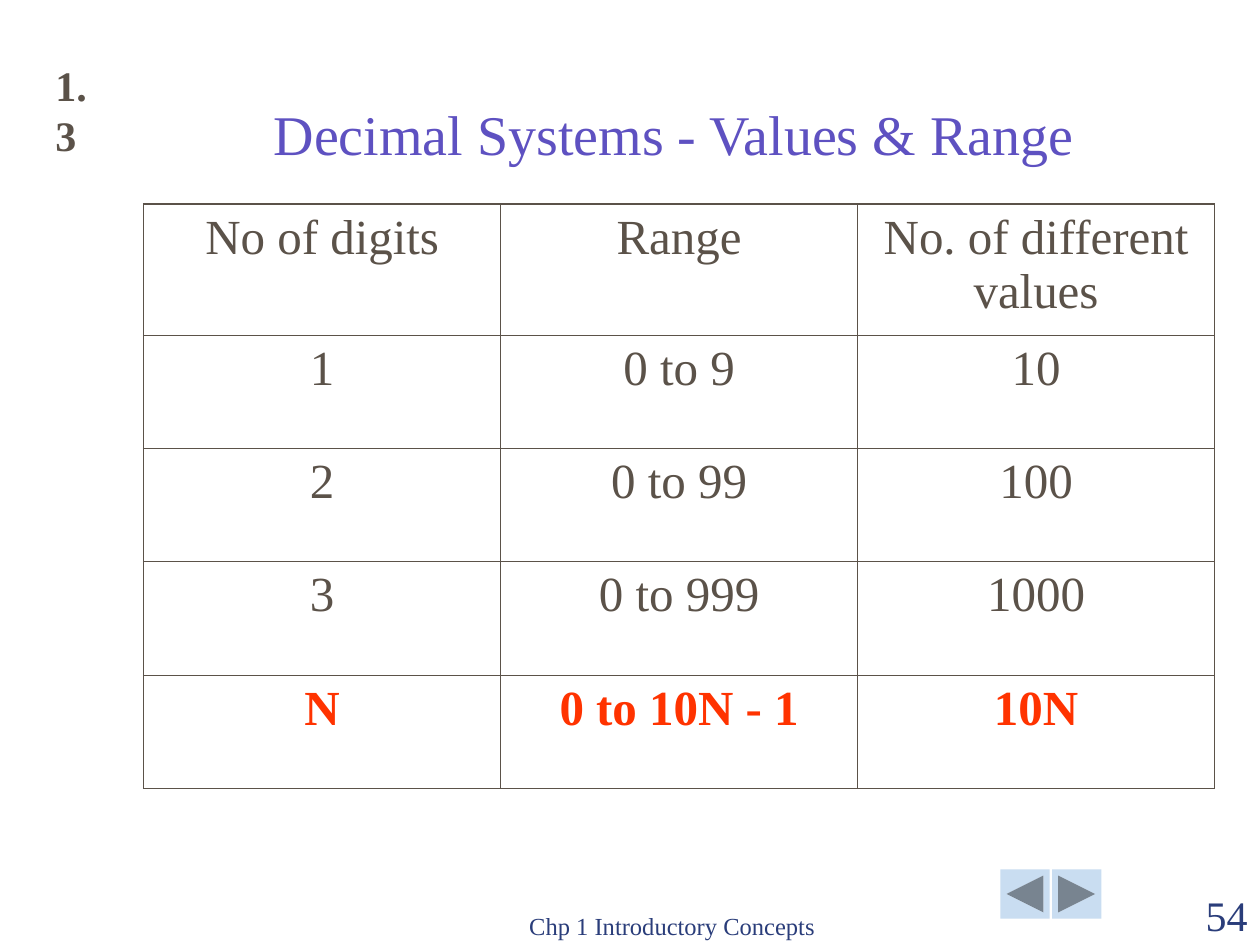
"""Build the slide on decimal values and range as a table with navigation buttons."""
from lxml import etree
from pptx import Presentation
from pptx.dml.color import RGBColor
from pptx.enum import shapes, text
from pptx.oxml import ns
from pptx.util import Inches, Pt

FONT = "Times New Roman"
COLORS = {"ink": "5B5249", "title": "5E51C1", "footer": "2A3D7A",
          "accent": "FF3300", "button": "C9DDF1"}
ALIGN, ANCHOR, SHAPE = text.PP_ALIGN, text.MSO_ANCHOR, shapes.MSO_SHAPE

ROWS = [
    ("No of digits", "Range", "No. of different values"),
    ("1", "0 to 9", "10"),
    ("2", "0 to 99", "100"),
    ("3", "0 to 999", "1000"),
    ("N", "0 to 10N - 1", "10N"),
]
TABLE_BOX = (1.14, 1.62, 8.5, 4.64)
HEADER_HEIGHT = 1.04
OUTER_LINE, INNER_LINE = 1.08, 0.45

LABELS = [
    ("Chp 1 Introductory Concepts", (3.75, 7.01, 3.17, 0.5), 14, "footer", False, ALIGN.CENTER, ANCHOR.BOTTOM),
    ("54", (9, 7.01, 1, 0.5), 24, "footer", False, ALIGN.RIGHT, ANCHOR.BOTTOM),
    ("Decimal Systems - Values & Range", (1.1, 0.68, 8.5, 0.69), 32, "title", False, ALIGN.CENTER, ANCHOR.BOTTOM),
    ("1.3", (0.34, 0.42, 0.61, 0.5), 24, "ink", True, ALIGN.LEFT, ANCHOR.TOP),
]
BUTTONS = [
    (SHAPE.ACTION_BUTTON_BACK_OR_PREVIOUS, 7.94),
    (SHAPE.ACTION_BUTTON_FORWARD_OR_NEXT, 8.35),
]
BUTTON_TOP, BUTTON_SIZE = 6.9, 0.39


def color(name):
    return RGBColor.from_string(COLORS[name])


def write(frame, words, size, color_name, bold, align):
    paragraph = frame.paragraphs[0]
    paragraph.text = words
    paragraph.alignment = align
    font = paragraph.font
    font.name, font.size, font.bold = FONT, Pt(size), bold
    font.color.rgb = color(color_name)


def add_label(slide, words, box, size, color_name, bold, align, anchor):
    frame = slide.shapes.add_textbox(*map(Inches, box)).text_frame
    frame.word_wrap = align != ALIGN.LEFT
    frame.vertical_anchor = anchor
    write(frame, words, size, color_name, bold, align)


def add_button(slide, kind, left):
    button = slide.shapes.add_shape(
        kind, *map(Inches, (left, BUTTON_TOP, BUTTON_SIZE, BUTTON_SIZE)))
    button.shadow.inherit = False
    button.fill.solid()
    button.fill.fore_color.rgb = color("button")
    button.line.fill.background()


def set_borders(cell, outer_sides):
    properties = cell._tc.get_or_add_tcPr()
    for position, side in enumerate("LRTB"):
        width = OUTER_LINE if outer_sides[side] else INNER_LINE
        line = etree.Element(ns.qn(f"a:ln{side}"), w=str(Pt(width)))
        fill = etree.SubElement(line, ns.qn("a:solidFill"))
        etree.SubElement(fill, ns.qn("a:srgbClr"), val=COLORS["ink"])
        properties.insert(position, line)


def add_range_table(slide):
    last_row, last_column = len(ROWS) - 1, len(ROWS[0]) - 1
    left, top, width, height = TABLE_BOX
    table = slide.shapes.add_table(
        len(ROWS), len(ROWS[0]), *map(Inches, TABLE_BOX)).table
    for column in table.columns:
        column.width = Inches(width / len(ROWS[0]))
    for r, values in enumerate(ROWS):
        table.rows[r].height = Inches(
            (height - HEADER_HEIGHT) / last_row if r else HEADER_HEIGHT)
        general_case = r == last_row
        for c, value in enumerate(values):
            cell = table.cell(r, c)
            cell.fill.background()
            write(cell.text_frame, value, 28,
                  "accent" if general_case else "ink", general_case, ALIGN.CENTER)
            set_borders(cell, {"L": c == 0, "R": c == last_column,
                               "T": r == 0, "B": general_case})


def main():
    deck = Presentation()
    deck.slide_width, deck.slide_height = Inches(10), Inches(7.5)
    slide = deck.slides.add_slide(deck.slide_layouts[6])
    for button in BUTTONS:
        add_button(slide, *button)
    for label in LABELS:
        add_label(slide, *label)
    add_range_table(slide)
    deck.save("out.pptx")


if __name__ == "__main__":
    main()
